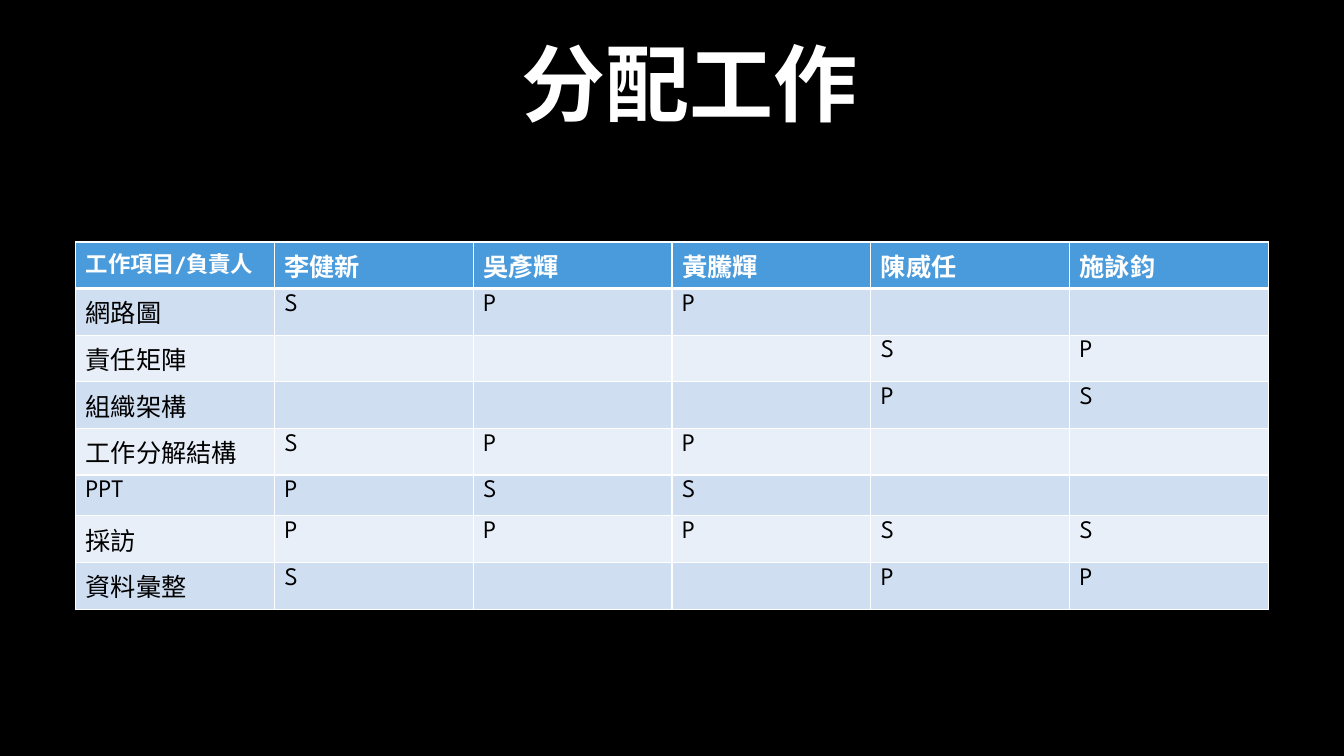
"""Build the work assignment slide with its table of tasks and people."""
import dataclasses
import typing

import lxml.etree
import pptx
import pptx.dml.color
import pptx.enum.text
import pptx.oxml.ns
import pptx.util


@dataclasses.dataclass(frozen=True)
class Theme:
    background: str = "000000"
    light: str = "FFFFFF"
    dark: str = "000000"
    header: str = "4A9BDC"
    bands: tuple[str, str] = ("D0DEF2", "E9EFF9")
    latin: str = "League Spartan"
    asian: str = "Noto Sans CJK TC"
    title_size: int = 60
    corner_size: int = 16
    body_size: int = 18
    thin: int = 1
    thick: int = 3


class Area(typing.NamedTuple):
    left: float
    top: float
    width: float
    height: float


class Task(typing.NamedTuple):
    name: str
    roles: str


class Style(typing.NamedTuple):
    size: int
    color: str
    bold: bool
    latin: str


THEME = Theme()
SLIDE_WIDTH = pptx.util.Inches(13.33)
SLIDE_HEIGHT = pptx.util.Inches(7.5)
TITLE_AREA = Area(15.98, 2.27, 70.67, 18.8)
TABLE_AREA = Area(5.63, 32, 88.75, 48.59)
TALL_ROW = 6.17
SHORT_ROW = 5.4
CORNER = "工作項目/負責人"
PEOPLE = ("李健新", "吳彥輝", "黃騰輝", "陳威任", "施詠鈞")
UNASSIGNED = "-"
TASKS = (
    Task("網路圖", "SPP--"),
    Task("責任矩陣", "---SP"),
    Task("組織架構", "---PS"),
    Task("工作分解結構", "SPP--"),
    Task("PPT", "PSS--"),
    Task("採訪", "PPPSS"),
    Task("資料彙整", "S--PP"),
)


def place(area: Area) -> tuple[int, int, int, int]:
    """Turn percentages of the slide into lengths."""
    return (
        int(SLIDE_WIDTH * area.left / 100),
        int(SLIDE_HEIGHT * area.top / 100),
        int(SLIDE_WIDTH * area.width / 100),
        int(SLIDE_HEIGHT * area.height / 100),
    )


def rgb(color: str) -> pptx.dml.color.RGBColor:
    """Read a hexadecimal colour."""
    return pptx.dml.color.RGBColor.from_string(color)


def add_span(para, text: str, style: Style) -> None:
    """Add one styled run to a paragraph."""
    span = para.add_run()
    span.text = text
    span.font.size = pptx.util.Pt(style.size)
    span.font.bold = style.bold
    span.font.color.rgb = rgb(style.color)
    span.font.name = style.latin
    properties = span.font._element
    asian = lxml.etree.SubElement(properties, pptx.oxml.ns.qn("a:ea"))
    asian.set("typeface", THEME.asian)


def add_borders(cell, top: int, bottom: int) -> None:
    """Draw the four borders of a filled cell."""
    properties = cell._tc.get_or_add_tcPr()
    sides = (("L", THEME.thin), ("R", THEME.thin), ("T", top), ("B", bottom))
    for position, (side, width) in enumerate(sides):
        line = lxml.etree.Element(pptx.oxml.ns.qn(f"a:ln{side}"))
        line.set("w", str(pptx.util.Pt(width)))
        fill = lxml.etree.SubElement(line, pptx.oxml.ns.qn("a:solidFill"))
        color = lxml.etree.SubElement(fill, pptx.oxml.ns.qn("a:srgbClr"))
        color.set("val", THEME.light)
        properties.insert(position, line)


def add_title(page, text: str) -> None:
    """Add the centred slide title."""
    box = page.shapes.add_textbox(*place(TITLE_AREA))
    frame = box.text_frame
    frame.word_wrap = True
    frame.vertical_anchor = pptx.enum.text.MSO_ANCHOR.MIDDLE
    para = frame.paragraphs[0]
    para.alignment = pptx.enum.text.PP_ALIGN.CENTER
    para.line_spacing = 0.9
    add_span(para, text, Style(THEME.title_size, THEME.light, True, THEME.asian))


def fill_cell(cell, text: str, row: int, column: int) -> None:
    """Style one cell by its place in the table."""
    heading = row == 0
    cell.fill.solid()
    cell.fill.fore_color.rgb = rgb(THEME.header if heading else THEME.bands[(row - 1) % 2])
    add_borders(
        cell,
        top=THEME.thick if row == 1 else THEME.thin,
        bottom=THEME.thick if heading else THEME.thin,
    )
    para = cell.text_frame.paragraphs[0]
    if text == UNASSIGNED:
        para.font.size = pptx.util.Pt(THEME.body_size)
        return
    size = THEME.corner_size if heading and column == 0 else THEME.body_size
    color = THEME.light if heading else THEME.dark
    add_span(para, text, Style(size, color, heading, THEME.latin))


def add_assignments(page) -> None:
    """Add the table of tasks and people."""
    lines = [(CORNER, *PEOPLE), *((task.name, *task.roles) for task in TASKS)]
    frame = page.shapes.add_table(len(lines), len(lines[0]), *place(TABLE_AREA))
    for row, texts in enumerate(lines):
        share = SHORT_ROW if texts[0].isascii() else TALL_ROW
        frame.table.rows[row].height = int(SLIDE_HEIGHT * share / 100)
        for column, text in enumerate(texts):
            fill_cell(frame.table.cell(row, column), text, row, column)


def main() -> None:
    """Build and save the deck."""
    deck = pptx.Presentation()
    deck.slide_width = SLIDE_WIDTH
    deck.slide_height = SLIDE_HEIGHT
    page = deck.slides.add_slide(deck.slide_layouts[6])
    page.background.fill.solid()
    page.background.fill.fore_color.rgb = rgb(THEME.background)
    add_title(page, "分配工作")
    add_assignments(page)
    deck.save("out.pptx")


if __name__ == "__main__":
    main()
